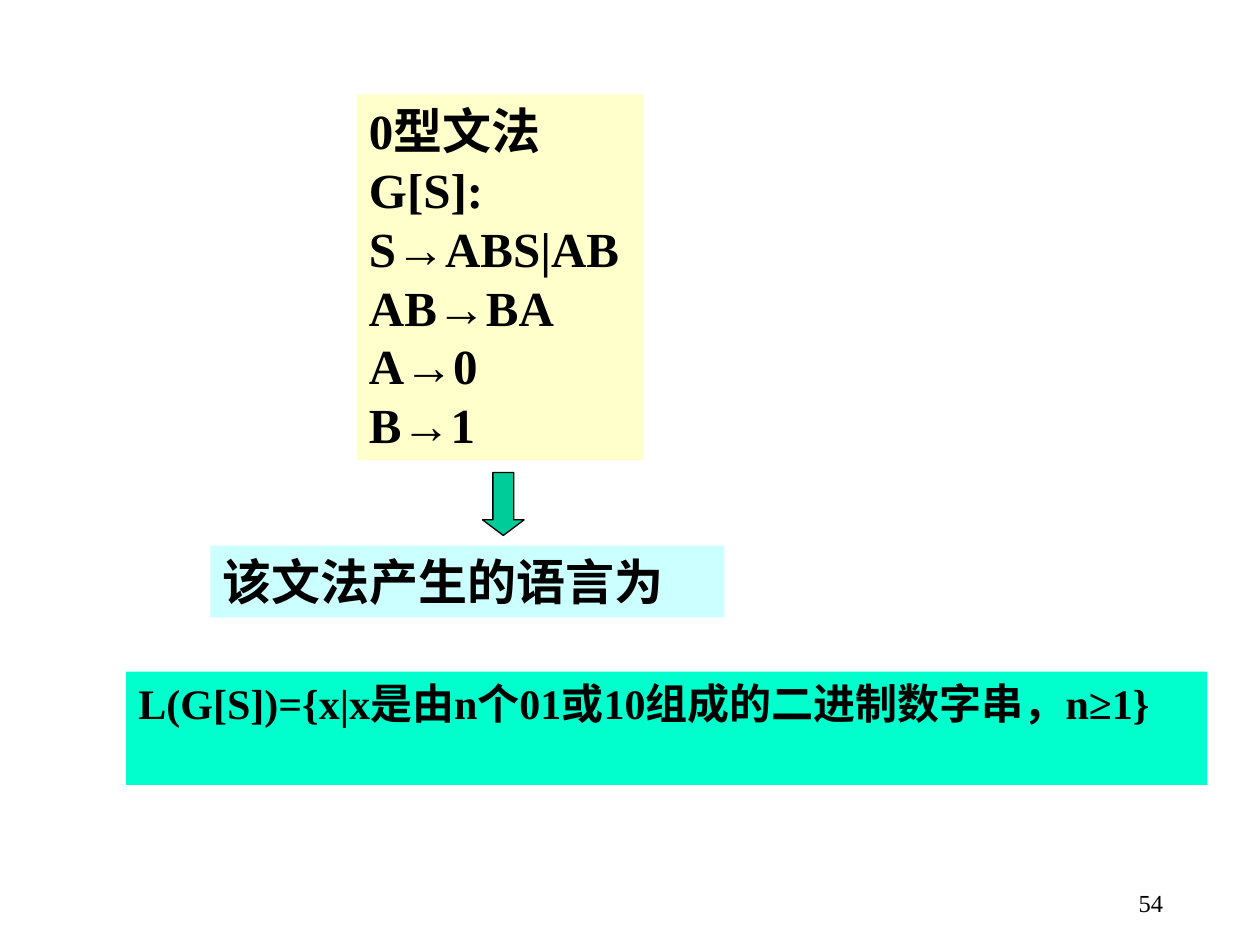
"""Build a slide on a type 0 grammar and the language it generates."""
import dataclasses

import pptx
import pptx.dml.color
import pptx.enum.shapes
import pptx.enum.text
import pptx.util

Inches = pptx.util.Inches
Align = pptx.enum.text.PP_ALIGN
Shape = pptx.enum.shapes.MSO_SHAPE


@dataclasses.dataclass(frozen=True)
class Theme:
    """Hold the colours, font and type sizes of the slide."""
    font: str = "Times New Roman"
    ink: str = "000000"
    grammar: str = "FFFFCC"
    caption: str = "CCFFFF"
    language: str = "00FFCC"
    arrow: str = "00CC99"
    large: int = 28
    medium: int = 24
    small: int = 14


THEME = Theme()


def colour(value):
    """Return the colour for a hex value."""
    return pptx.dml.color.RGBColor.from_string(value)


def set_text(box, text, size, bold=True, align=Align.LEFT, hanging=0):
    """Write and format the text of a box, one paragraph per line."""
    frame = box.text_frame
    frame.word_wrap = True
    frame.vertical_anchor = pptx.enum.text.MSO_ANCHOR.TOP
    frame.text = text
    for para in frame.paragraphs:
        para.alignment = align
        if hanging:
            properties = para._p.get_or_add_pPr()
            properties.set("marL", str(Inches(hanging)))
            properties.set("indent", str(-Inches(hanging)))
        for span in para.runs:
            span.font.name = THEME.font
            span.font.size = pptx.util.Pt(size)
            span.font.bold = bold
            span.font.color.rgb = colour(THEME.ink)


def add_filled(page, kind, place, fill):
    """Add a preset shape with a plain fill and no outline."""
    shape = page.shapes.add_shape(kind, *map(Inches, place))
    shape.shadow.inherit = False
    shape.fill.solid()
    shape.fill.fore_color.rgb = colour(fill)
    shape.line.fill.background()
    return shape


def add_panel(page, place, fill, text, size, grow=True, hanging=0):
    """Add a coloured rectangle that carries bold text."""
    panel = add_filled(page, Shape.RECTANGLE, place, fill)
    set_text(panel, text, size, hanging=hanging)
    if grow:
        panel.text_frame.auto_size = pptx.enum.text.MSO_AUTO_SIZE.SHAPE_TO_FIT_TEXT


def add_down_arrow(page, place):
    """Add the outlined block arrow that points to the caption."""
    arrow = add_filled(page, Shape.DOWN_ARROW, place, THEME.arrow)
    arrow.adjustments[0] = 0.5
    arrow.adjustments[1] = 0.375
    arrow.line.color.rgb = colour(THEME.ink)
    arrow.line.width = pptx.util.Pt(0.75)


def add_page_number(page, place, number):
    """Add the page number at the lower right."""
    box = page.shapes.add_textbox(*map(Inches, place))
    set_text(box, number, THEME.small, bold=False, align=Align.RIGHT)


def main():
    """Build the deck and save it."""
    deck = pptx.Presentation()
    deck.slide_width, deck.slide_height = Inches(10), Inches(7.5)
    page = deck.slides.add_slide(deck.slide_layouts[6])
    rules = ["0型文法", "G[S]:", "S→ABS|AB", "AB→BA", "A→0", "B→1"]
    add_panel(page, (2.83, 0.75, 2.28, 2.9), THEME.grammar, "\n".join(rules),
              THEME.large, grow=False, hanging=0.38)
    add_panel(page, (1, 5.33, 8.58, 0.9), THEME.language,
              "L(G[S])={x|x是由n个01或10组成的二进制数字串，n≥1}", THEME.medium)
    add_panel(page, (1.67, 4.33, 4.08, 0.57), THEME.caption,
              "该文法产生的语言为", THEME.large)
    add_down_arrow(page, (3.83, 3.75, 0.33, 0.5))
    add_page_number(page, (7.25, 7, 2.08, 0.5), "54")
    deck.save("out.pptx")


if __name__ == "__main__":
    main()
